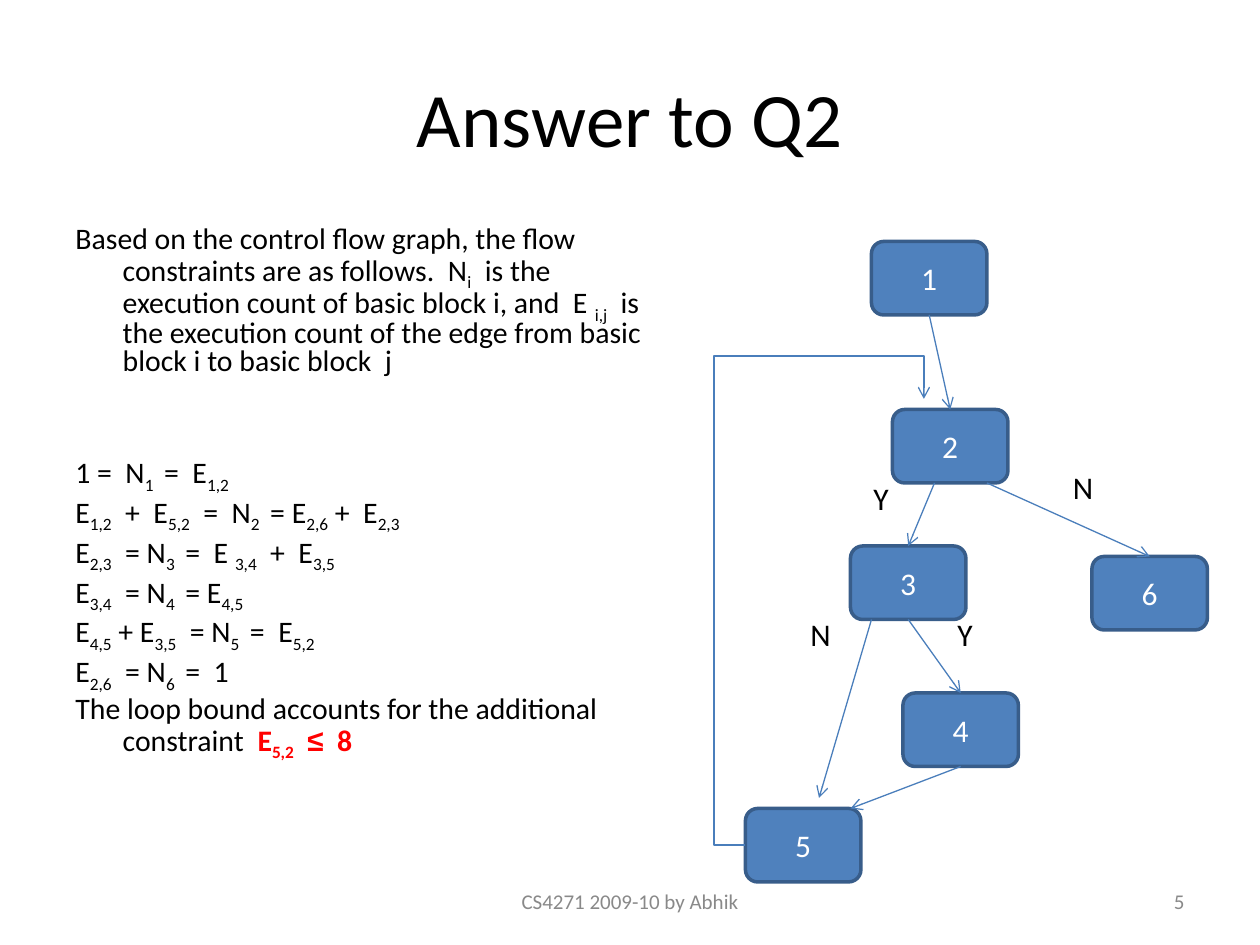
from dataclasses import dataclass

from lxml.etree import SubElement
from pptx import Presentation
from pptx.dml.color import RGBColor as Rgb
from pptx.enum.shapes import MSO_CONNECTOR as Link, MSO_SHAPE as Preset
from pptx.enum.text import MSO_ANCHOR as Anchor, PP_ALIGN as Align
from pptx.oxml.ns import qn
from pptx.util import Pt


@dataclass(frozen=True)
class Theme:
    """Colours, fonts and type sizes of the slide."""
    ink: Rgb = Rgb(0x00, 0x00, 0x00)
    muted: Rgb = Rgb(0x89, 0x89, 0x89)
    alert: Rgb = Rgb(0xFF, 0x00, 0x00)
    block: Rgb = Rgb(0x4F, 0x81, 0xBD)
    block_edge: Rgb = Rgb(0x38, 0x5D, 0x8A)
    block_text: Rgb = Rgb(0xFF, 0xFF, 0xFF)
    flow: Rgb = Rgb(0x4A, 0x7E, 0xBB)
    font: str = "Calibri"
    symbol_font: str = "Arial"
    title: int = 44
    body: int = 17
    label: int = 18
    footer: int = 12


THEME = Theme()
BLOCK_WIDTH, BLOCK_HEIGHT = 66, 42
LABEL_HEIGHT = 28.8
BLOCKS = {"1": (498, 138), "2": (510, 234), "3": (486, 312),
          "6": (624, 318), "4": (516, 396), "5": (426, 462)}
EDGES = [("1", 0, "2", 0, 0), ("2", 21, "6", 0, 0), ("2", -9, "3", 0, 0),
         ("3", 0, "4", 0, 0), ("3", -21, "5", 9, 6), ("4", 0, "5", 27, 0)]
BRANCHES = [("N", 606, 264, 60), ("Y", 492, 270, 42),
            ("Y", 540, 348, 36), ("N", 456, 348, 30)]
INTRO = ("Based on the control flow graph, the flow constraints are as follows.  N|i|"
         "  is the execution count of basic block i, and  E |i,j|  is the execution "
         "count of the edge from basic block i to basic block  j")
CONSTRAINTS = [
    "1 =  N|1 | =  E|1,2",
    "E|1,2|  +  E|5,2|  =  N|2 | = E|2,6| +  E|2,3",
    "E|2,3|  = N|3 | =  E |3,4|  +  E|3,5",
    "E|3,4|  = N|4 | = E|4,5",
    "E|4,5| + E|3,5|  = N|5 | =  E|5,2",
    "E|2,6|  = N|6 | =  1",
]
LOOP_BOUND = "The loop bound accounts for the additional constraint  "


def style_font(font, size, colour, name=THEME.font, bold=False):
    """Apply size, colour, typeface and weight to a font."""
    font.size, font.name, font.bold = Pt(size), name, bold
    font.color.rgb = colour


def write_line(frame, text, size, colour, align):
    """Fill a frame with one styled line."""
    frame.text = text
    line = frame.paragraphs[0]
    line.alignment = align
    style_font(line.runs[0].font, size, colour)


def add_text(slide, text, box, size, colour=THEME.ink, align=Align.LEFT, anchor=Anchor.TOP):
    """Add a wrapped text box holding one line."""
    frame = slide.shapes.add_textbox(*map(Pt, box)).text_frame
    frame.word_wrap = True
    frame.vertical_anchor = anchor
    write_line(frame, text, size, colour, align)


def add_formula(paragraph, marked, **look):
    """Append text in which every second part between bars is a subscript."""
    for position, part in enumerate(marked.split("|")):
        run = paragraph.add_run()
        run.text = part
        style_font(run.font, THEME.body, **{"colour": THEME.ink, **look})
        if position % 2:
            run.font._element.set("baseline", "-25000")


def add_explanation(slide):
    """Add the introduction, the flow constraints and the loop bound."""
    frame = slide.shapes.add_textbox(Pt(36), Pt(126), Pt(348), Pt(356.4)).text_frame
    frame.word_wrap = True
    for index, statement in enumerate([INTRO, *CONSTRAINTS, LOOP_BOUND]):
        paragraph = frame.add_paragraph() if index else frame.paragraphs[0]
        paragraph.line_spacing = 0.8
        paragraph.space_before = Pt({0: 0, 1: 45.8}.get(index, 4.2))
        hanging = paragraph._p.get_or_add_pPr()
        hanging.set("marL", str(Pt(27)))
        hanging.set("indent", str(-Pt(27)))
        add_formula(paragraph, statement)
    bound = {"colour": THEME.alert, "bold": True}
    add_formula(paragraph, "E|5,2|  ", **bound)
    add_formula(paragraph, "≤", name=THEME.symbol_font, **bound)
    add_formula(paragraph, "  8", **bound)


def add_block(slide, number, left, top):
    """Add a numbered basic block."""
    block = slide.shapes.add_shape(Preset.ROUNDED_RECTANGLE, Pt(left), Pt(top),
                                   Pt(BLOCK_WIDTH), Pt(BLOCK_HEIGHT))
    block.shadow.inherit = False
    block.fill.solid()
    block.fill.fore_color.rgb = THEME.block
    block.line.color.rgb = THEME.block_edge
    block.line.width = Pt(2)
    block.text_frame.vertical_anchor = Anchor.MIDDLE
    write_line(block.text_frame, number, THEME.label, THEME.block_text, Align.CENTER)


def add_arrow(slide, start, end, kind=Link.STRAIGHT):
    """Add a flow arrow between two points."""
    arrow = slide.shapes.add_connector(kind, *map(Pt, (*start, *end)))
    arrow.line.color.rgb = THEME.flow
    arrow.line.width = Pt(0.75)
    properties = arrow._element.spPr
    SubElement(properties.find(qn("a:ln")), qn("a:tailEnd"), type="arrow")
    SubElement(properties, qn("a:effectLst"))
    return arrow


def add_edge(slide, source, start_shift, target, end_shift, gap):
    """Join the foot of one block to the head of another."""
    (source_left, source_top), (target_left, target_top) = BLOCKS[source], BLOCKS[target]
    middle = BLOCK_WIDTH / 2
    add_arrow(slide, (source_left + middle + start_shift, source_top + BLOCK_HEIGHT),
              (target_left + middle + end_shift, target_top - gap))


def add_back_edge(slide):
    """Add the loop arrow from block 5 round to block 2."""
    left, top = BLOCKS["5"]
    loop = add_arrow(slide, (left, top + BLOCK_HEIGHT / 2), (528, 228), Link.ELBOW)
    route = loop._element.spPr.find(qn("a:prstGeom"))
    route.set("prst", "bentConnector4")
    bends = route.find(qn("a:avLst"))
    for name, share in (("adj1", -17600), ("adj2", 109600)):
        SubElement(bends, qn("a:gd"), name=name, fmla=f"val {share}")


def main():
    """Build and save the slide."""
    deck = Presentation()
    deck.slide_width, deck.slide_height = Pt(720), Pt(540)
    slide = deck.slides.add_slide(deck.slide_layouts[6])
    add_text(slide, "Answer to Q2", (36, 21.6, 648, 90), THEME.title,
             align=Align.CENTER, anchor=Anchor.MIDDLE)
    add_explanation(slide)
    add_text(slide, "CS4271 2009-10 by Abhik", (246, 500.4, 228, 28.8), THEME.footer,
             THEME.muted, Align.CENTER, Anchor.MIDDLE)
    add_text(slide, "5", (516, 500.4, 168, 28.8), THEME.footer,
             THEME.muted, Align.RIGHT, Anchor.MIDDLE)
    for number, corner in BLOCKS.items():
        add_block(slide, number, *corner)
    for edge in EDGES:
        add_edge(slide, *edge)
    add_back_edge(slide)
    for branch, left, top, width in BRANCHES:
        add_text(slide, branch, (left, top, width, LABEL_HEIGHT), THEME.label)
    deck.save("out.pptx")


if __name__ == "__main__":
    main()
